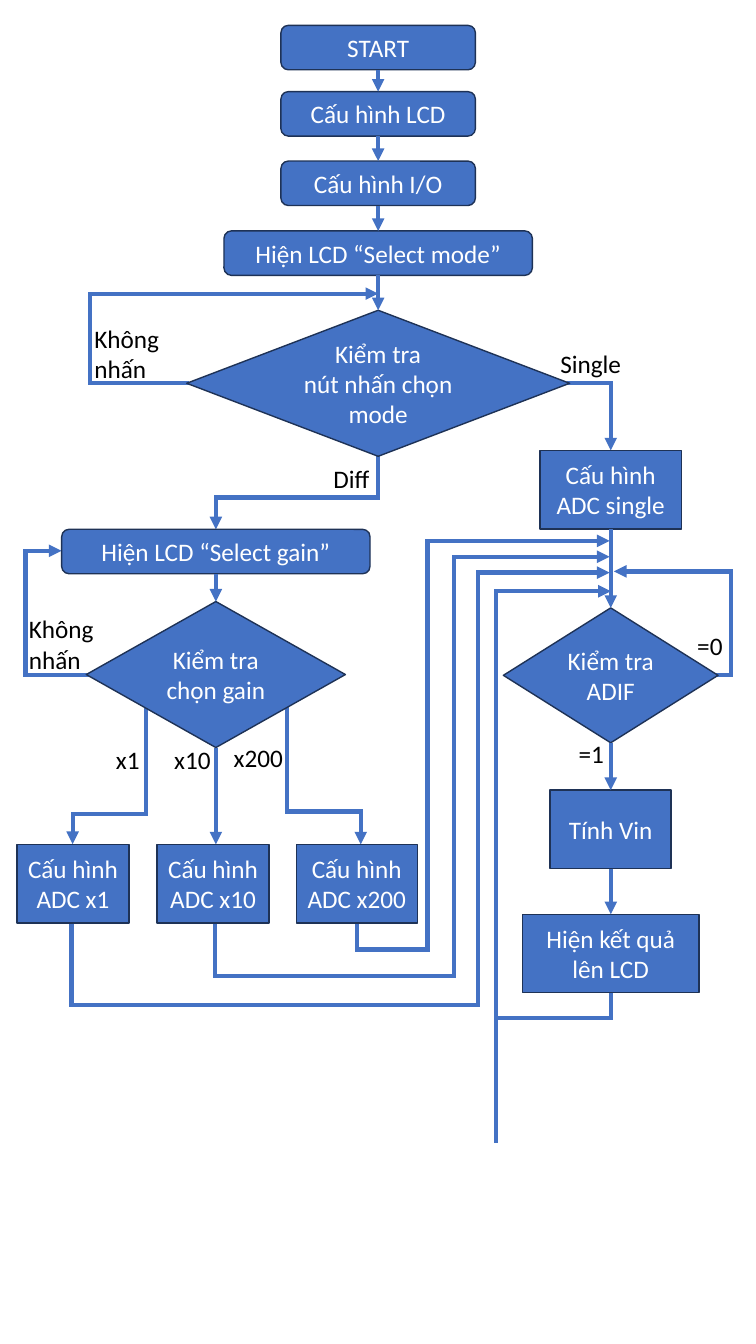
from dataclasses import dataclass
from itertools import pairwise

import pptx
import pptx.dml.color
import pptx.enum.shapes
import pptx.enum.text
import pptx.oxml
import pptx.oxml.ns
import pptx.util

Cm = pptx.util.Cm
Color = pptx.dml.color.RGBColor
ShapeKind = pptx.enum.shapes.MSO_SHAPE
Align = pptx.enum.text.PP_ALIGN
Anchor = pptx.enum.text.MSO_ANCHOR
DRAWING = pptx.oxml.ns.nsdecls("a")


@dataclass(frozen=True)
class Theme:
    font: str = "Calibri"
    text_size: float = 18
    fill: Color = Color(0x44, 0x72, 0xC4)
    outline: Color = Color(0x1E, 0x32, 0x56)
    box_text: Color = Color(0xFF, 0xFF, 0xFF)
    label_text: Color = Color(0, 0, 0)
    outline_width: float = 1
    line_width: float = 3


def write_text(frame, text, *, theme, color, align):
    """Put each line of text in its own paragraph of the frame."""
    for index, line in enumerate(text.split("\n")):
        paragraph = frame.add_paragraph() if index else frame.paragraphs[0]
        paragraph.alignment = align
        run = paragraph.add_run()
        run.text = line
        run.font.name = theme.font
        run.font.size = pptx.util.Pt(theme.text_size)
        run.font.color.rgb = color


class Flowchart:
    """Draws flowchart elements on one slide; all lengths are centimetres."""

    def __init__(self, slide, theme):
        self.shapes = slide.shapes
        self.theme = theme

    def box(self, text, center, top, width, height, kind=ShapeKind.RECTANGLE):
        shape = self.shapes.add_shape(
            kind, Cm(center - width / 2), Cm(top), Cm(width), Cm(height))
        shape.shadow.inherit = False
        shape.fill.solid()
        shape.fill.fore_color.rgb = self.theme.fill
        shape.line.color.rgb = self.theme.outline
        shape.line.width = pptx.util.Pt(self.theme.outline_width)
        frame = shape.text_frame
        frame.word_wrap = True
        frame.vertical_anchor = Anchor.MIDDLE
        write_text(frame, text, theme=self.theme,
                   color=self.theme.box_text, align=Align.CENTER)
        return shape

    def label(self, text, left, top, width, height=1.02):
        shape = self.shapes.add_textbox(Cm(left), Cm(top), Cm(width), Cm(height))
        frame = shape.text_frame
        frame.word_wrap = False
        frame.auto_size = pptx.enum.text.MSO_AUTO_SIZE.SHAPE_TO_FIT_TEXT
        write_text(frame, text, theme=self.theme,
                   color=self.theme.label_text, align=Align.LEFT)

    def segment(self, start, end, arrow=False):
        """Draw one straight line; plain ones get square ends to fill corners."""
        connector = self.shapes.add_connector(
            pptx.enum.shapes.MSO_CONNECTOR.STRAIGHT,
            *(Cm(value) for value in (*start, *end)))
        connector.line.color.rgb = self.theme.fill
        connector.line.width = pptx.util.Pt(self.theme.line_width)
        properties = connector.element.spPr
        line = properties.find(pptx.oxml.ns.qn("a:ln"))
        if arrow:
            line.append(pptx.oxml.parse_xml(f'<a:tailEnd {DRAWING} type="triangle"/>'))
        else:
            line.set("cap", "sq")
        properties.append(pptx.oxml.parse_xml(f"<a:effectLst {DRAWING}/>"))
        return connector

    def route(self, *points):
        """Join the points by lines, with an arrowhead at the last one."""
        steps = list(pairwise(points))
        for start, end in steps[:-1]:
            self.segment(start, end)
        self.segment(*steps[-1], arrow=True)

    def chain(self, *boxes):
        """Link each box to the next by an arrow from bottom to top."""
        for upper, lower in pairwise(boxes):
            connector = self.segment((0, 0), (0, 0), arrow=True)
            connector.begin_connect(upper, 2)
            connector.end_connect(lower, 0)


MAIN, GAIN, SINGLE = 9.53, 5.44, 15.39  # centre lines of the three columns
BAR, BLOCK = 1.12, 1.98  # box heights
ROUNDED, DECISION = ShapeKind.ROUNDED_RECTANGLE, ShapeKind.FLOWCHART_DECISION


def draw_routes(chart):
    # Mode selection
    chart.route((4.7, 9.65), (2.26, 9.65), (2.26, 7.4), (MAIN, 7.4))
    chart.route((MAIN, 11.5), (MAIN, 12.54), (GAIN, 12.54), (GAIN, 13.34))
    chart.route((14.35, 9.65), (SINGLE, 9.65), (SINGLE, 11.35))
    # Gain selection
    chart.route((2.26, 17.02), (0.64, 17.02), (0.64, 13.88), (1.55, 13.88))
    chart.route((3.67, 17.88), (3.67, 20.52), (1.83, 20.52), (1.83, 21.27))
    chart.route((GAIN, 18.84), (GAIN, 21.28))
    chart.route((7.23, 17.78), (7.23, 20.45), (9.09, 20.45), (9.09, 21.28))
    # Each gain setting joins the ADIF check through its own lane
    for start, bottom, lane, join in (
        (8.99, 23.93, 10.77, 13.63),
        (5.41, 24.6, 11.44, 14.03),
        (1.8, 25.32, 12.04, 14.43),
    ):
        chart.route((start, 23.25), (start, bottom), (lane, bottom),
                    (lane, join), (SINGLE - 0.03, join))
    # Waiting for ADIF, and the next measurement
    chart.route((18.1, 17.02), (18.42, 17.02), (18.42, 14.4), (15.47, 14.4))
    chart.route((SINGLE, 25.02), (SINGLE, 25.65), (12.5, 25.65),
                (12.5, 14.9), (SINGLE, 14.9))
    chart.segment((12.5, 25.65), (12.5, 28.75))


def draw_boxes(chart):
    setup = [chart.box(text, MAIN, top, 4.9, BAR, ROUNDED) for text, top in
             (("START", 0.64), ("Cấu hình LCD", 2.31), ("Cấu hình I/O", 4.06))]
    chart.chain(
        *setup,
        chart.box("Hiện LCD “Select mode”", MAIN, 5.82, 7.77, BAR, ROUNDED),
        chart.box("Kiểm tra\nnút nhấn chọn mode", MAIN, 7.82, 9.65, 3.68, DECISION),
    )
    chart.chain(
        chart.box("Hiện LCD “Select gain”", GAIN, 13.34, 7.77, BAR, ROUNDED),
        chart.box("Kiểm tra chọn gain", GAIN, 15.16, 6.53, 3.68, DECISION),
    )
    for gain, center, width in (("x1", 1.84, 2.82), ("x10", 5.37, 2.82),
                                ("x200", 8.99, 3.05)):
        chart.box(f"Cấu hình ADC {gain}", center, 21.28, width, BLOCK)
    chart.chain(
        chart.box("Cấu hình ADC single", SINGLE, 11.35, 3.56, BLOCK),
        chart.box("Kiểm tra ADIF", SINGLE, 15.32, 5.41, 3.4, DECISION),
        chart.box("Tính Vin", SINGLE, 19.91, 3.05, BLOCK),
        chart.box("Hiện kết quả lên LCD", SINGLE, 23.04, 4.45, BLOCK),
    )


def draw_labels(chart):
    for text, left, top, width in (
        ("x1", 2.67, 18.64, 1.12),
        ("x10", 4.14, 18.64, 1.45),
        ("x200", 5.64, 18.59, 1.75),
        ("Diff", 8.15, 11.56, 1.45),
        ("Single", 13.87, 8.66, 2.06),
        ("=1", 14.33, 18.47, 1.17),
        ("=0", 17.32, 15.75, 1.17),
    ):
        chart.label(text, left, top, width)
    for left, top in ((0.48, 15.34), (2.13, 8.03)):
        chart.label("Không\nnhấn", left, top, 2.31, 1.8)


def main():
    presentation = pptx.Presentation()
    presentation.slide_width = Cm(19.05)
    presentation.slide_height = Cm(33.87)
    slide = presentation.slides.add_slide(presentation.slide_layouts[6])
    chart = Flowchart(slide, Theme())
    draw_routes(chart)
    draw_boxes(chart)
    draw_labels(chart)
    presentation.save("out.pptx")


if __name__ == "__main__":
    main()
